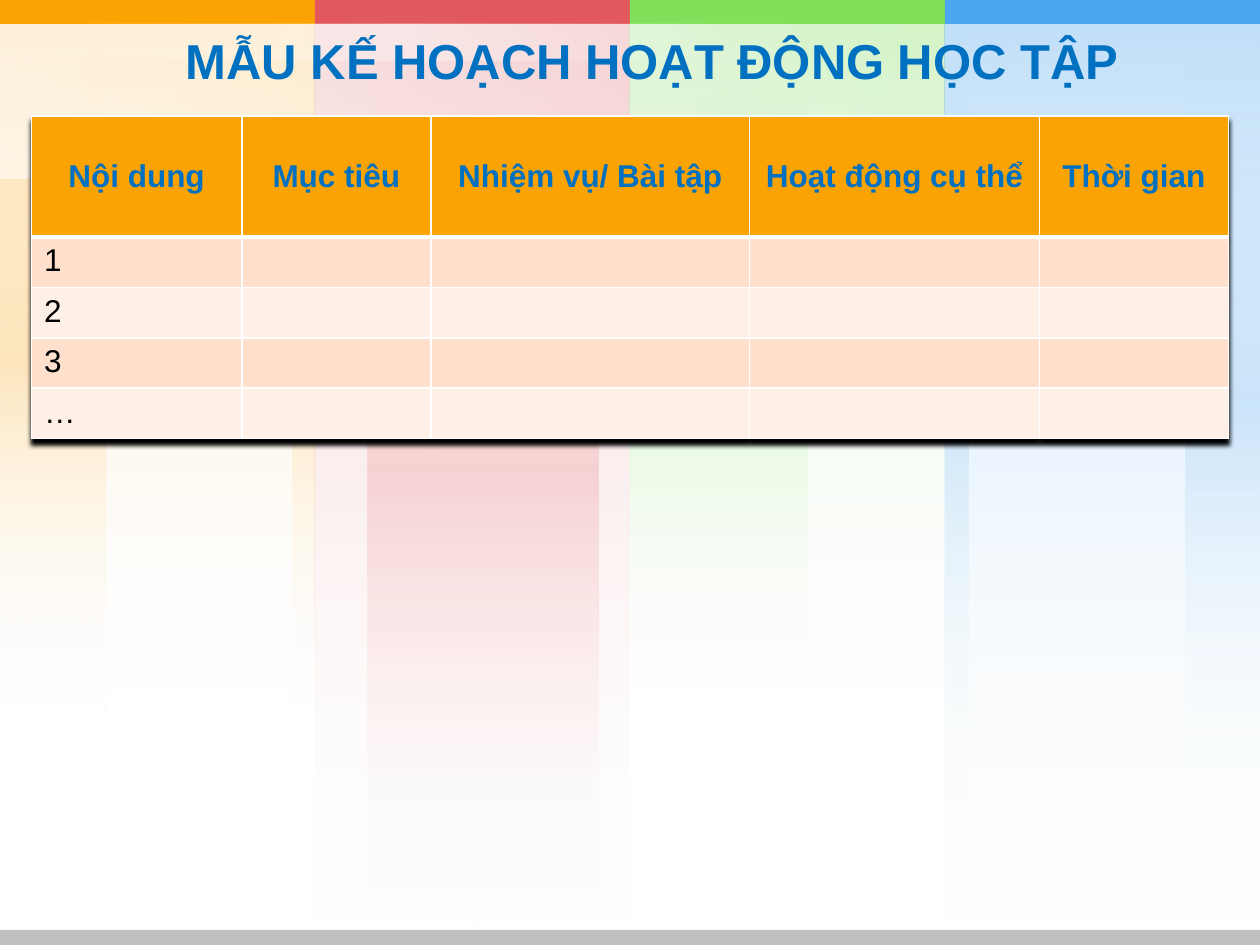
from dataclasses import dataclass

from lxml.etree import SubElement
from pptx import Presentation
from pptx.dml.color import RGBColor
from pptx.enum.shapes import MSO_SHAPE as Kind
from pptx.enum.text import MSO_ANCHOR as Anchor, PP_ALIGN as Align
from pptx.oxml import parse_xml
from pptx.oxml.ns import nsdecls, qn
from pptx.util import Inches, Pt

ORANGE, RED, GREEN, SKY = "FCA304", "E1595C", "80E05A", "4BA5EF"
WHITE, BLACK, GRAY, BLUE = "FFFFFF", "000000", "C0C0C0", "0070C0"
ROWS = ["FEE0CC", "FEF0E7"]
BAND = 2.5
FONT = "Arial"


@dataclass
class Glow:
    """A fading sheet; with peak it is strongest in the middle."""
    left: float
    top: float
    width: float
    height: float
    hue: str
    alpha: int = 20
    peak: bool = False
    turn: int = 0


def strips(hue: str, height: float, *spans: tuple) -> list[Glow]:
    return [Glow(x, 0, w, height, hue, peak=True) for x, w in spans]


RED_BAND = Glow(BAND, 0, BAND, 7.5, RED)
GREEN_BAND = Glow(2 * BAND, 0, BAND, 5.62, GREEN)
SKY_BAND = Glow(3 * BAND, 0, BAND, 7.47, SKY)
GOLD_BAND = Glow(0, 0, BAND, 5.62, ORANGE)
SHEET = Glow(3.15, -2.95, 1.22, 7.51, WHITE, 35, turn=270)

BACK = [
    RED_BAND, *strips(RED, 7.5, (2.92, 1.83)), RED_BAND,
    GREEN_BAND, *strips(GREEN, 5.62, (5, 1.41)), GREEN_BAND,
    *strips(SKY, 6.37, (7.5, 0.19)), SKY_BAND,
    *strips(SKY, 6.37, (9.41, 0.59)), SKY_BAND,
    GOLD_BAND, *strips(ORANGE, 5.62, (2.32, 0.18), (0, 0.84)), GOLD_BAND,
]
FRONT = [
    Glow(4.16, -2.85, 0.1, 8.42, WHITE, 35, True, 270),
    SHEET,
    Glow(3.06, -2.87, 0.29, 6.41, WHITE, 35, True, 270),
    SHEET,
]

HEADS = ["Nội dung", "Mục tiêu", "Nhiệm vụ/ Bài tập", "Hoạt động cụ thể", "Thời gian"]
MARKS = ["1", "2", "3", "…"]
COLS = [1.67, 1.5, 2.53, 2.3, 1.5]
HEAD_H, ROW_H = 0.96, 0.38


def rgb(code: str) -> RGBColor:
    return RGBColor.from_string(code)


def add_bar(slide, left: float, top: float, width: float, height: float, hue: str):
    box = slide.shapes.add_shape(
        Kind.RECTANGLE, Inches(left), Inches(top), Inches(width), Inches(height))
    box.shadow.inherit = False
    box.line.fill.background()
    box.fill.solid()
    box.fill.fore_color.rgb = rgb(hue)
    return box


def add_glow(slide, glow: Glow) -> None:
    box = add_bar(slide, glow.left, glow.top, glow.width, glow.height, glow.hue)
    box.rotation = glow.turn
    stops = [(0, glow.hue, glow.alpha), (100, WHITE, 0)]
    if glow.peak:
        stops = [(0, WHITE, 0), (50, glow.hue, glow.alpha), (100, WHITE, 0)]
    marks = "".join(
        f'<a:gs pos="{pos * 1000}"><a:srgbClr val="{hue}">'
        f'<a:alpha val="{alpha * 1000}"/></a:srgbClr></a:gs>'
        for pos, hue, alpha in stops)
    props = box._element.spPr
    props.replace(props.find(qn("a:solidFill")), parse_xml(
        f'<a:gradFill {nsdecls("a")} rotWithShape="1"><a:gsLst>{marks}</a:gsLst>'
        '<a:lin ang="5400000" scaled="0"/></a:gradFill>'))


def style(para, size: int, hue: str, bold: bool, align=Align.LEFT) -> None:
    para.alignment = align
    para.font.size = Pt(size)
    for run in para.runs:
        font = run.font
        font.name, font.size, font.bold = FONT, Pt(size), bold
        font.color.rgb = rgb(hue)


def add_title(slide, text: str) -> None:
    box = slide.shapes.add_textbox(Inches(0.5), Inches(0.24), Inches(9.25), Inches(0.6))
    frame = box.text_frame
    frame.word_wrap = True
    frame.margin_left = Inches(0.1)
    frame.margin_top = frame.margin_right = frame.margin_bottom = 0
    frame.text = text
    style(frame.paragraphs[0], 28, BLUE, True, Align.CENTER)


def set_edges(cell, top: int, bottom: int) -> None:
    props = cell._tc.get_or_add_tcPr()
    for side, width in (("L", 1), ("R", 1), ("T", top), ("B", bottom)):
        line = SubElement(props, qn(f"a:ln{side}"), w=str(Pt(width)))
        SubElement(SubElement(line, qn("a:solidFill")), qn("a:srgbClr"), val=WHITE)


def fill_cell(cell, text: str, row: int) -> None:
    head = row == 0
    set_edges(cell, 3 if row == 1 else 1, 3 if head else 1)
    cell.fill.solid()
    cell.fill.fore_color.rgb = rgb(ORANGE if head else ROWS[(row - 1) % 2])
    cell.text_frame.text = text
    para = cell.text_frame.paragraphs[0]
    if head:
        cell.vertical_anchor = Anchor.MIDDLE
        style(para, 18, BLUE, True, Align.CENTER)
    else:
        style(para, 18, BLACK, False)


def add_plan(slide) -> None:
    rows = [HEADS] + [[mark] + [""] * (len(HEADS) - 1) for mark in MARKS]
    high = HEAD_H + ROW_H * len(MARKS)
    table = slide.shapes.add_table(
        len(rows), len(COLS), Inches(0.25), Inches(0.92),
        Inches(sum(COLS)), Inches(high)).table
    for col, width in zip(table.columns, COLS):
        col.width = Inches(width)
    for r, texts in enumerate(rows):
        table.rows[r].height = Inches(ROW_H if r else HEAD_H)
        for c, text in enumerate(texts):
            fill_cell(table.cell(r, c), text, r)
    table._tbl.tblPr.insert(0, parse_xml(
        f'<a:effectLst {nsdecls("a")}><a:outerShdw blurRad="{Inches(0.04)}" '
        f'dist="{Inches(0.04)}" dir="5400000" algn="t" rotWithShape="0">'
        f'<a:srgbClr val="{BLACK}"/></a:outerShdw></a:effectLst>'))


def main() -> None:
    deck = Presentation()
    deck.slide_width, deck.slide_height = Inches(10), Inches(7.5)
    slide = deck.slides.add_slide(deck.slide_layouts[6])
    for glow in BACK:
        add_glow(slide, glow)
    for i, hue in enumerate([ORANGE, RED, GREEN, SKY]):
        add_bar(slide, i * BAND, 0, BAND, 0.19, hue)
    for glow in FRONT:
        add_glow(slide, glow)
    add_bar(slide, 0, 7.38, 10, 0.12, GRAY)
    add_title(slide, "MẪU KẾ HOẠCH HOẠT ĐỘNG HỌC TẬP")
    add_plan(slide)
    deck.save("out.pptx")


if __name__ == "__main__":
    main()
